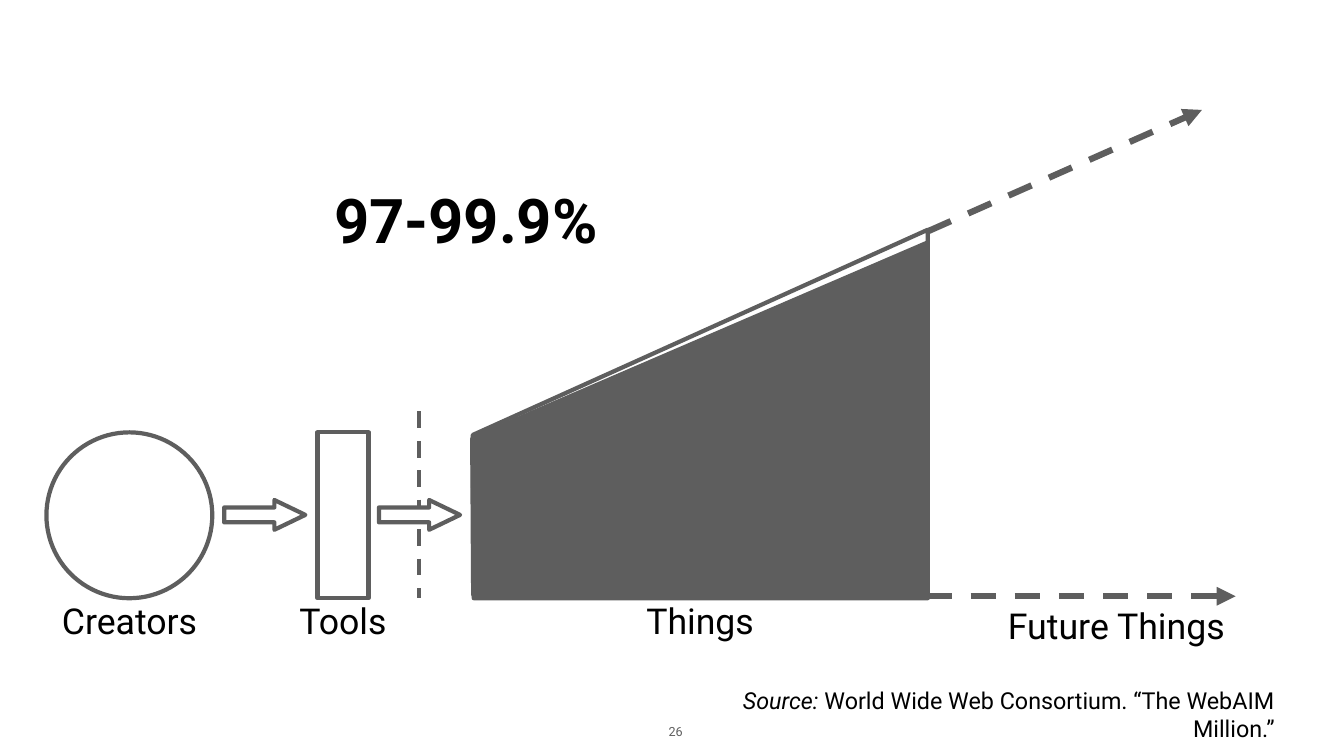
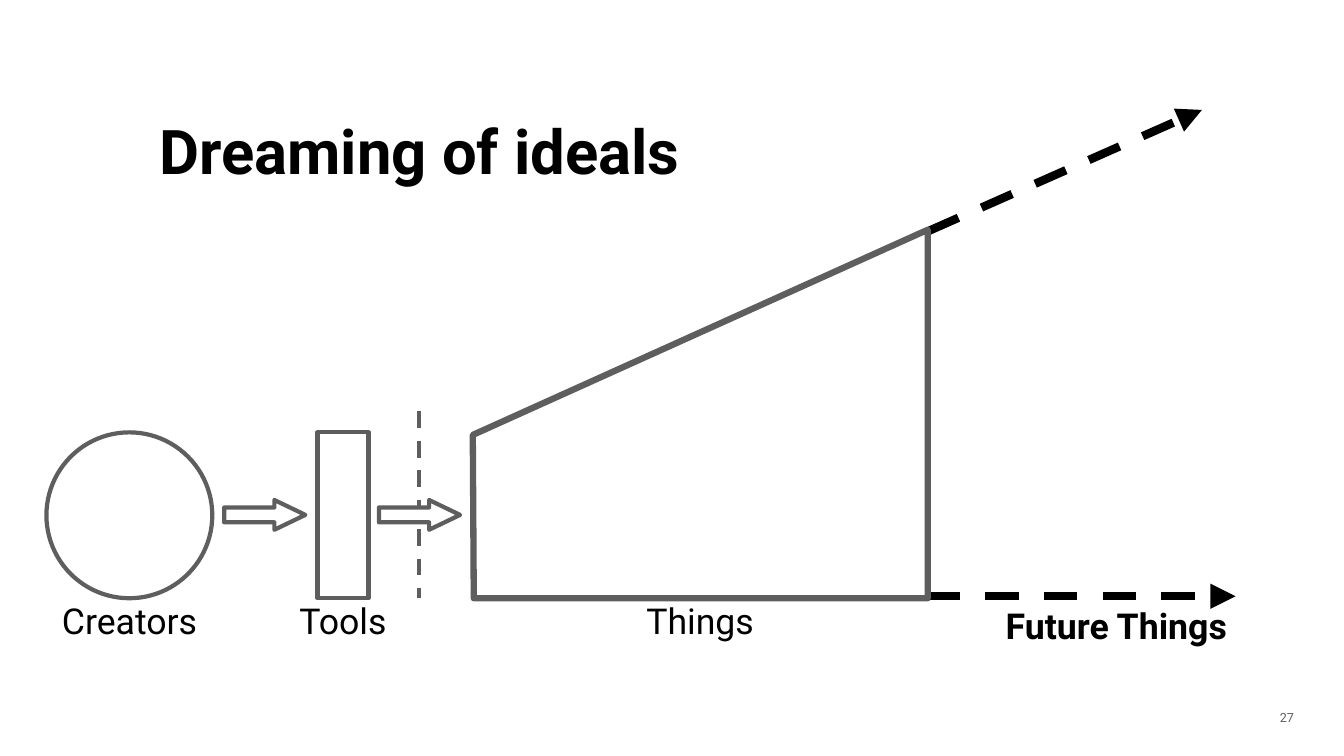
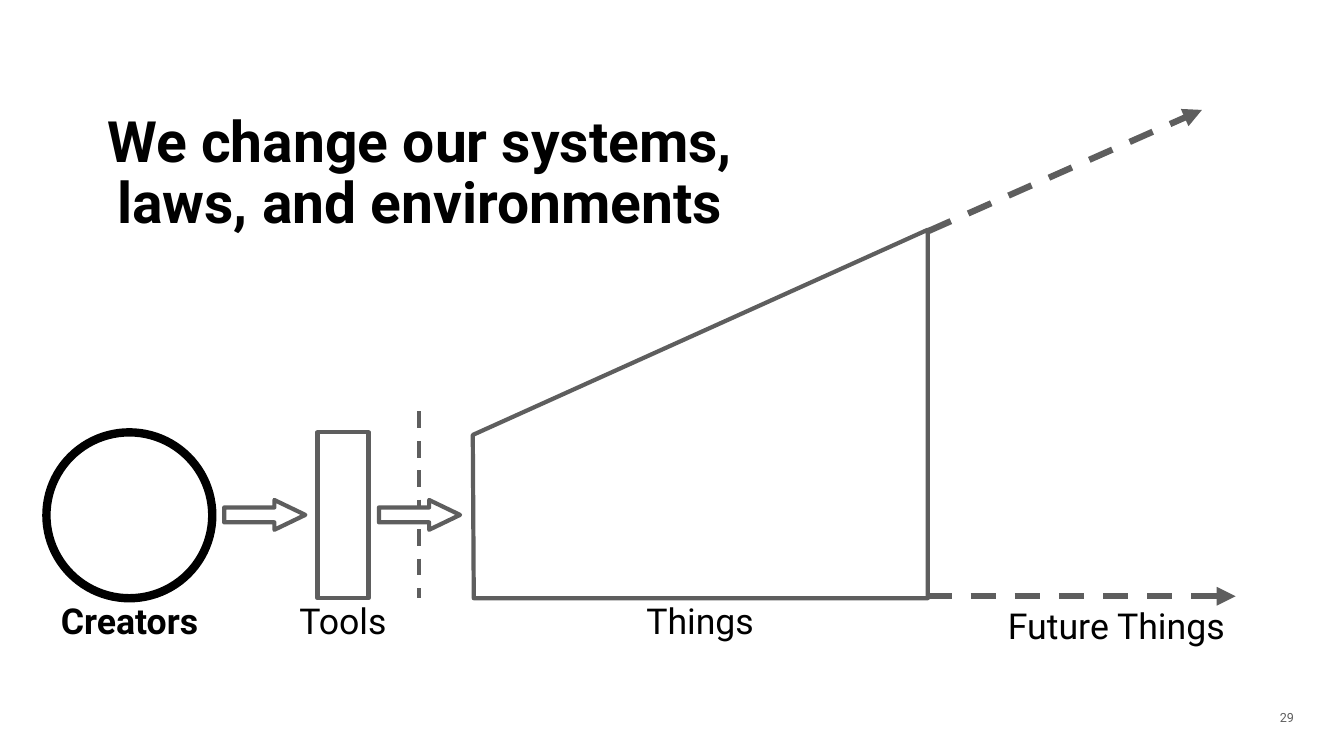
from lxml import etree
from pptx import Presentation
from pptx.dml.color import RGBColor
from pptx.enum.dml import MSO_LINE
from pptx.enum.shapes import MSO_CONNECTOR, MSO_SHAPE
from pptx.enum.text import MSO_ANCHOR, MSO_AUTO_SIZE, PP_ALIGN
from pptx.oxml.ns import qn
from pptx.util import Cm, Pt

OVAL, RECT, ARROW = MSO_SHAPE.OVAL, MSO_SHAPE.RECTANGLE, MSO_SHAPE.RIGHT_ARROW
STRAIGHT, DASH = MSO_CONNECTOR.STRAIGHT, MSO_LINE.DASH
LEFT, CENTER, RIGHT = PP_ALIGN.LEFT, PP_ALIGN.CENTER, PP_ALIGN.RIGHT
TOP, BOTTOM = MSO_ANCHOR.TOP, MSO_ANCHOR.BOTTOM

FONT = "Roboto"
GREY, BLACK, WHITE = "5E5E5E", "000000", "FFFFFF"

# Lengths in centimetres, sizes and line widths in points
SLIDES = [
    {"title": "97-99.9%", "at": (6.48, 9.02), "size": 88, "page": "26",
     "page_box": (32.92, 35.61, 1.93, 1.78), "anchor": BOTTOM, "filled": True,
     "source": [("Source: ", True),
                ("World Wide Web Consortium. “The WebAIM Million.”", False)]},
    {"title": "Dreaming of ideals", "at": (4.14, 5.54), "size": 88,
     "page": "27", "focus": "Future Things", "edge": 9},
    {"title": "We change our systems, laws, and environments",
     "at": (4.14, 5.54), "size": 81.4, "spacing": 0.9,
     "page": "29", "focus": "Creators"},
]
TITLE_SIZE = (34.01, 7.59)
PAGE_BOX = (63.73, 35.61, 1.68, 1.78)
SOURCE_BOX = (33.86, 34.44, 30.53, 2.95)

LABEL_TOP = 30.28
LABELS = [  # text, left, width, height, size, line spacing
    ("Creators", 1.6, 9.86, 2.92, 50.9, 0.9),
    ("Tools", 10.92, 12.73, 2.92, 50.9, 0.9),
    ("Things", 24.16, 22.25, 2.92, 50.9, 0.9),
    ("Future Things", 45.59, 21.36, 3.71, 51, 1),
]

BASE = 30.15
HIGH = 8.36
CIRCLE = (2.34, BASE - HIGH, HIGH, HIGH)
TOOL = (16, BASE - HIGH, 2.57, HIGH)
ARROWS = [(left, 25.2, 4.09, 1.5) for left in (11.3, 19.1)]
DIVIDER = (21.13, 20.73, 21.13, BASE)
TRENDS = [(46.76, 11.66, 60.58, 5.54), (46.69, 30.05, 62.28, 30.05)]
THINGS = [(23.83, 21.92), (23.88, BASE), (46.76, BASE), (46.76, 11.58)]
FILLED = [(23.8, 22.1), (23.85, 29.97), (46.71, 29.97), (46.71, 12.24)]


def cm(values):
    return [Cm(v) for v in values]


def rgb(code):
    return RGBColor.from_string(code)


def paint(shape, fill=WHITE, line=GREY, width=6):
    shape.shadow.inherit = False
    shape.fill.solid()
    shape.fill.fore_color.rgb = rgb(fill)
    shape.line.color.rgb = rgb(line)
    shape.line.width = Pt(width)


def add_form(slide, kind, box, **style):
    shape = slide.shapes.add_shape(kind, *cm(box))
    paint(shape, **style)
    return shape


def add_area(slide, points, **style):
    first, *rest = [tuple(cm(p)) for p in points]
    pen = slide.shapes.build_freeform(*first)
    pen.add_line_segments(rest, close=True)
    paint(pen.convert_to_shape(), **style)


def add_dash(slide, ends, color=GREY, width=6, head=False):
    line = slide.shapes.add_connector(STRAIGHT, *cm(ends))
    line.line.color.rgb = rgb(color)
    line.line.width = Pt(width)
    line.line.dash_style = DASH
    if head:
        tip = etree.SubElement(line.line._get_or_add_ln(), qn("a:tailEnd"))
        tip.set("type", "triangle")
    etree.SubElement(line._element.spPr, qn("a:effectLst"))


def set_text(shape, runs, size, color=BLACK, bold=False, align=CENTER,
             spacing=1, anchor=TOP, inset=0.15):
    """Fill a shape with one paragraph of (text, italic) runs."""
    frame = shape.text_frame
    frame.auto_size = MSO_AUTO_SIZE.NONE
    frame.word_wrap = True
    frame.vertical_anchor = anchor
    frame.margin_left = frame.margin_right = Cm(inset)
    frame.margin_top = frame.margin_bottom = Cm(inset)
    para = frame.paragraphs[0]
    para.alignment = align
    para.line_spacing = spacing
    font = para.font
    font.name, font.size, font.bold = FONT, Pt(size), bold
    font.color.rgb = rgb(color)
    for text, italic in runs:
        run = para.add_run()
        run.text = text
        if italic:
            run.font.italic = True
    return para


def add_text(slide, box, runs, size, **style):
    shape = slide.shapes.add_textbox(*cm(box))
    return set_text(shape, runs, size, **style)


def add_title(slide, data):
    title = slide.shapes.title
    title.left, title.top, title.width, title.height = cm(
        data["at"] + TITLE_SIZE)
    set_text(title, [(data["title"], False)], data["size"], bold=True,
             spacing=data.get("spacing", 1))


def add_trends(slide, strong):
    color, width = (BLACK, 12) if strong else (GREY, 9)
    for ends in TRENDS:
        add_dash(slide, ends, color, width, head=True)


def add_flow(slide, data):
    focus = data.get("focus")
    future = focus == "Future Things"
    if future:
        add_trends(slide, True)
    add_form(slide, RECT, TOOL)
    strong = {"line": BLACK, "width": 12} if focus == "Creators" else {}
    add_form(slide, OVAL, CIRCLE, **strong)
    add_area(slide, THINGS, width=data.get("edge", 6))
    add_dash(slide, DIVIDER)
    for box in ARROWS:
        arrow = add_form(slide, ARROW, box)
        arrow.adjustments[0], arrow.adjustments[1] = 0.5, 1.04
    if not future:
        add_trends(slide, False)
    if data.get("filled"):
        add_area(slide, FILLED, fill=GREY)
    for text, left, width, height, size, spacing in LABELS:
        add_text(slide, (left, LABEL_TOP, width, height), [(text, False)],
                 size, bold=text == focus, spacing=spacing)


def add_foot(slide, data):
    if "source" in data:
        add_text(slide, SOURCE_BOX, data["source"], 33.3, align=RIGHT,
                 inset=0.13)
    para = add_text(slide, data.get("page_box", PAGE_BOX),
                    [(data["page"], False)], 18, color=GREY, align=LEFT,
                    anchor=data.get("anchor", TOP))
    props = para._p.get_or_add_pPr()
    props.set("marL", str(Cm(1.27)))
    props.set("indent", str(Cm(-0.64)))


def main():
    deck = Presentation()
    deck.slide_width, deck.slide_height = cm((67.74, 38.1))
    layout = deck.slide_layouts[5]
    for data in SLIDES:
        slide = deck.slides.add_slide(layout)
        add_title(slide, data)
        add_flow(slide, data)
        add_foot(slide, data)
    deck.save("out.pptx")


if __name__ == "__main__":
    main()
